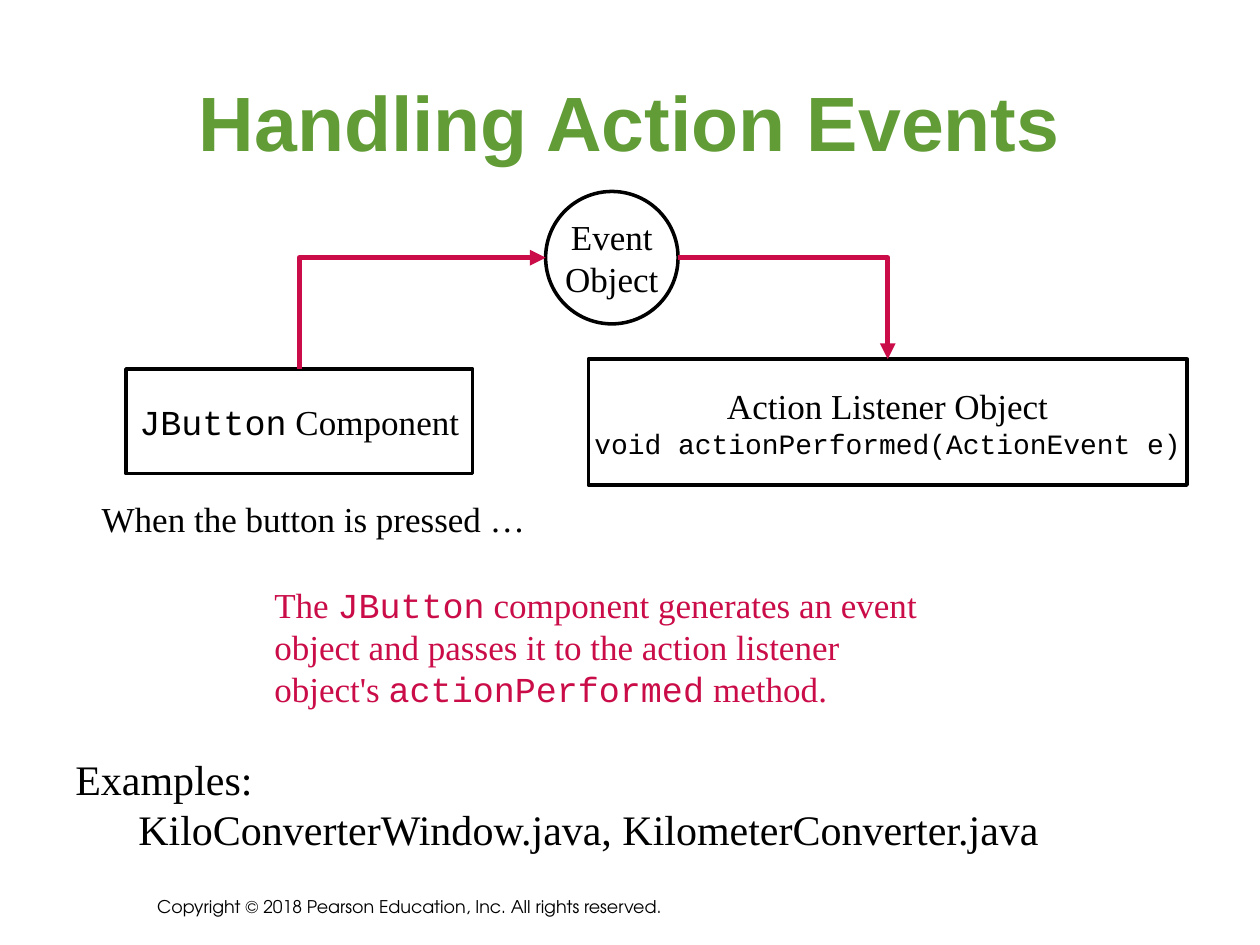
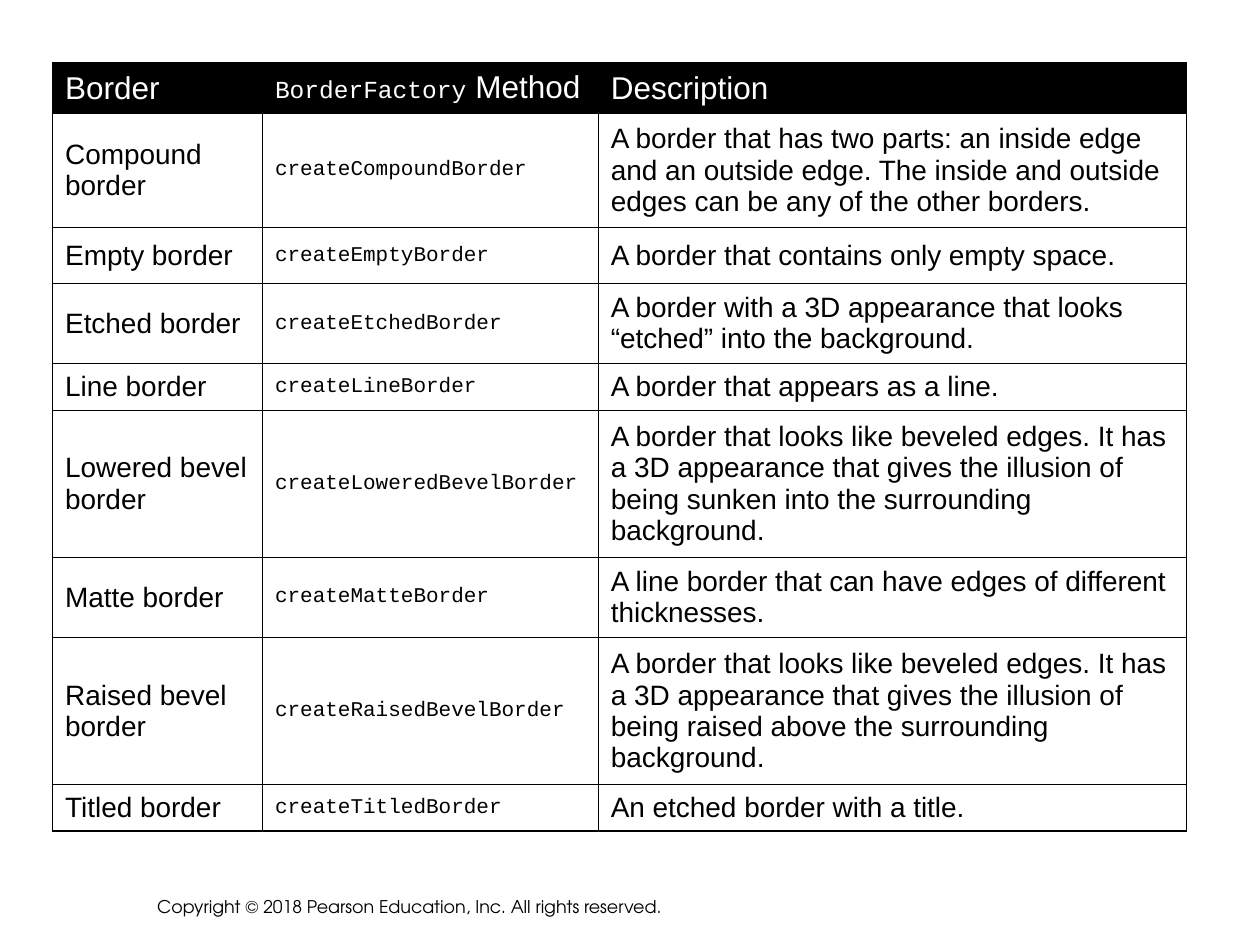
from dataclasses import dataclass

from lxml import etree
from pptx import Presentation
from pptx.dml.color import RGBColor
from pptx.enum.shapes import MSO_CONNECTOR, MSO_SHAPE
from pptx.enum.text import MSO_ANCHOR, MSO_AUTO_SIZE, PP_ALIGN
from pptx.oxml.ns import qn
from pptx.util import Cm, Pt

# Content: text between backticks is set in the code font.
TITLE = "Handling Action Events"
COPYRIGHT = "Copyright © 2018 Pearson Education, Inc. All rights reserved."
COMPONENT = ["`JButton` Component"]
EVENT = ["Event", "Object"]
LISTENER = ["Action Listener Object", "`void actionPerformed(ActionEvent e)`"]
TRIGGER = ["When the button is pressed …"]
EXPLANATION = [
    "The `JButton` component generates an event object and passes it to the "
    "action listener object's `actionPerformed` method."
]
EXAMPLES = ["Examples:", "KiloConverterWindow.java, KilometerConverter.java"]

BORDER_HEADER = ("Border", "`BorderFactory` Method", "Description")
BEVEL = ("A border that looks like beveled edges. It has a 3D appearance that "
         "gives the illusion of being {} the surrounding background.")
BORDERS = [
    ("Compound border", "`createCompoundBorder`",
     "A border that has two parts: an inside edge and an outside edge. "
     "The inside and outside edges can be any of the other borders."),
    ("Empty border", "`createEmptyBorder`",
     "A border that contains only empty space."),
    ("Etched border", "`createEtchedBorder`",
     "A border with a 3D appearance that looks “etched” into the background."),
    ("Line border", "`createLineBorder`", "A border that appears as a line."),
    ("Lowered bevel border", "`createLoweredBevelBorder`",
     BEVEL.format("sunken into")),
    ("Matte border", "`createMatteBorder`",
     "A line border that can have edges of different thicknesses."),
    ("Raised bevel border", "`createRaisedBevelBorder`",
     BEVEL.format("raised above")),
    ("Titled border", "`createTitledBorder`", "An etched border with a title."),
]

# Layout in centimetres: left, top, width, height.
SLIDE_SIZE = (25.4, 19.05)
TITLE_AREA = (1.27, 0.84, 22.86, 3.18)
FOOTER_AREA = (2.92, 17.78, 18.19, 0.84)
COMPONENT_AREA = (2.54, 7.44, 6.99, 2.11)
LISTENER_AREA = (11.86, 7.24, 12.07, 2.54)
EVENT_AREA = (11.0, 3.86, 2.67, 2.67)
TRIGGER_AREA = (1.8, 9.91, 9.04, 1.12)
EXPLANATION_AREA = (5.28, 11.63, 13.54, 2.79)
EXAMPLES_AREA = (1.27, 15.06, 22.86, 2.29)
EXAMPLES_INDENT = 1.27
TABLE_CORNER = (1.06, 1.27)
COLUMN_WIDTHS = (4.23, 6.77, 11.86)
ROW_HEIGHTS = (1.02, 2.29, 1.14, 1.6, 0.94, 2.97, 1.6, 2.97, 0.94)


@dataclass(frozen=True)
class Style:
    size: float
    font: str
    color: RGBColor
    code_size: float = 0
    bold: bool = False


class Theme:
    black = RGBColor(0x00, 0x00, 0x00)
    white = RGBColor(0xFF, 0xFF, 0xFF)
    green = RGBColor(0x62, 0x9C, 0x36)
    crimson = RGBColor(0xCA, 0x0C, 0x48)
    code_font = "Courier New"
    serif, sans = "Times New Roman", "Arial"

    title = Style(44, sans, green, bold=True)
    footer = Style(10, "TeX Gyre Adventor", black)
    diagram = Style(20, serif, black)
    listener = Style(20, serif, black, code_size=16)
    explanation = Style(20, serif, crimson)
    examples = Style(24, serif, black)
    header_cell = Style(18, sans, white, code_size=14)
    body_cell = Style(16, sans, black, code_size=12)

    outline, arrow = Pt(2), Pt(3)
    outer_rule, inner_rule = Pt(1.08), Pt(0.45)


def cm(values):
    return [Cm(value) for value in values]


def write(frame, lines, style, align=PP_ALIGN.LEFT, **frame_format):
    for name, value in frame_format.items():
        setattr(frame, name, value)
    for number, line in enumerate(lines):
        para = frame.add_paragraph() if number else frame.paragraphs[0]
        para.alignment = align
        for part, text in enumerate(line.split("`")):
            if not text:
                continue
            is_code = part % 2 == 1
            span = para.add_run()
            span.text = text
            span.font.color.rgb = style.color
            font_format = {
                "name": Theme.code_font if is_code else style.font,
                "size": Pt(style.code_size if is_code and style.code_size
                           else style.size),
                "bold": style.bold,
            }
            for name, value in font_format.items():
                setattr(span.font, name, value)


def add_text(page, area, lines, style, **options):
    frame = page.shapes.add_textbox(*cm(area)).text_frame
    write(frame, lines, style, **{"word_wrap": True, **options})
    return frame


def add_node(page, preset, area, lines, style):
    node = page.shapes.add_shape(preset, *cm(area))
    node.shadow.inherit = False
    node.fill.solid()
    node.fill.fore_color.rgb = Theme.white
    node.line.color.rgb = Theme.black
    node.line.width = Theme.outline
    write(node.text_frame, lines, style, PP_ALIGN.CENTER,
          vertical_anchor=MSO_ANCHOR.MIDDLE, word_wrap=False)


def add_elbow(page, begin, end, rises_first=False):
    """Draw a one-corner arrow; it leaves sideways unless rises_first is set."""
    (x1, y1), (x2, y2) = begin, end
    if rises_first:
        # The frame is stored a quarter turn back about its own centre.
        middle_x, middle_y = (x1 + x2) / 2, (y1 + y2) / 2
        half_width, half_height = abs(y2 - y1) / 2, abs(x2 - x1) / 2
        x1, x2 = middle_x + half_width, middle_x - half_width
        y1, y2 = middle_y + half_height, middle_y - half_height
    arrow = page.shapes.add_connector(MSO_CONNECTOR.ELBOW, *cm((x1, y1, x2, y2)))
    arrow.line.color.rgb = Theme.crimson
    arrow.line.width = Theme.arrow
    properties = arrow._element.spPr
    properties.find(qn("a:prstGeom")).set("prst", "bentConnector2")
    if rises_first:
        properties.find(qn("a:xfrm")).set("rot", str(90 * 60000))
    etree.SubElement(properties.find(qn("a:ln")), qn("a:tailEnd"), type="triangle")
    etree.SubElement(properties, qn("a:effectLst"))


def add_footer(page):
    add_text(page, FOOTER_AREA, [COPYRIGHT], Theme.footer,
             vertical_anchor=MSO_ANCHOR.BOTTOM)


def rule_cell(cell, outer_sides):
    properties = cell._tc.get_or_add_tcPr()
    for side in "LRTB":
        width = Theme.outer_rule if side in outer_sides else Theme.inner_rule
        line = etree.SubElement(properties, qn(f"a:ln{side}"), w=str(int(width)))
        fill = etree.SubElement(line, qn("a:solidFill"))
        etree.SubElement(fill, qn("a:srgbClr"), val=str(Theme.black))


def build_event_slide(deck):
    page = deck.slides.add_slide(deck.slide_layouts[5])
    title = page.shapes.title
    for name, value in zip(("left", "top", "width", "height"), cm(TITLE_AREA)):
        setattr(title, name, value)
    write(title.text_frame, [TITLE], Theme.title, PP_ALIGN.CENTER,
          vertical_anchor=MSO_ANCHOR.MIDDLE)

    add_node(page, MSO_SHAPE.RECTANGLE, COMPONENT_AREA, COMPONENT, Theme.diagram)
    add_node(page, MSO_SHAPE.RECTANGLE, LISTENER_AREA, LISTENER, Theme.listener)
    add_node(page, MSO_SHAPE.OVAL, EVENT_AREA, EVENT, Theme.diagram)

    left, top, width, height = EVENT_AREA
    event_middle = top + height / 2
    component_top, listener_top = (
        (area[0] + area[2] / 2, area[1]) for area in (COMPONENT_AREA, LISTENER_AREA))
    add_elbow(page, component_top, (left, event_middle), rises_first=True)
    add_elbow(page, (left + width, event_middle), listener_top)

    grow = MSO_AUTO_SIZE.SHAPE_TO_FIT_TEXT
    add_text(page, TRIGGER_AREA, TRIGGER, Theme.diagram, align=PP_ALIGN.CENTER,
             word_wrap=False, auto_size=grow)
    add_text(page, EXPLANATION_AREA, EXPLANATION, Theme.explanation, auto_size=grow)
    examples = add_text(page, EXAMPLES_AREA, EXAMPLES, Theme.examples, auto_size=grow)
    file_names = examples.paragraphs[1]._p.get_or_add_pPr()
    file_names.set("marL", str(int(Cm(EXAMPLES_INDENT))))
    add_footer(page)


def build_border_slide(deck):
    page = deck.slides.add_slide(deck.slide_layouts[6])
    rows = [BORDER_HEADER, *BORDERS]
    size = (sum(COLUMN_WIDTHS), sum(ROW_HEIGHTS))
    table = page.shapes.add_table(
        len(rows), len(COLUMN_WIDTHS), *cm(TABLE_CORNER + size)).table
    table.first_row = table.horz_banding = False
    for column, width in zip(table.columns, COLUMN_WIDTHS):
        column.width = Cm(width)
    for row, height in zip(table.rows, ROW_HEIGHTS):
        row.height = Cm(height)

    last_row, last_column = len(rows) - 1, len(COLUMN_WIDTHS) - 1
    for r, texts in enumerate(rows):
        for c, text in enumerate(texts):
            cell = table.cell(r, c)
            edges = {"L": c == 0, "R": c == last_column,
                     "T": r == 0, "B": r == last_row}
            rule_cell(cell, [side for side, is_outer in edges.items() if is_outer])
            if r == 0:
                cell.fill.solid()
                cell.fill.fore_color.rgb = Theme.black
            else:
                cell.fill.background()
            cell.vertical_anchor = MSO_ANCHOR.MIDDLE
            write(cell.text_frame, [text],
                  Theme.body_cell if r else Theme.header_cell)
    add_footer(page)


def main():
    deck = Presentation()
    deck.slide_width, deck.slide_height = cm(SLIDE_SIZE)
    build_event_slide(deck)
    build_border_slide(deck)
    deck.save("out.pptx")


if __name__ == "__main__":
    main()
